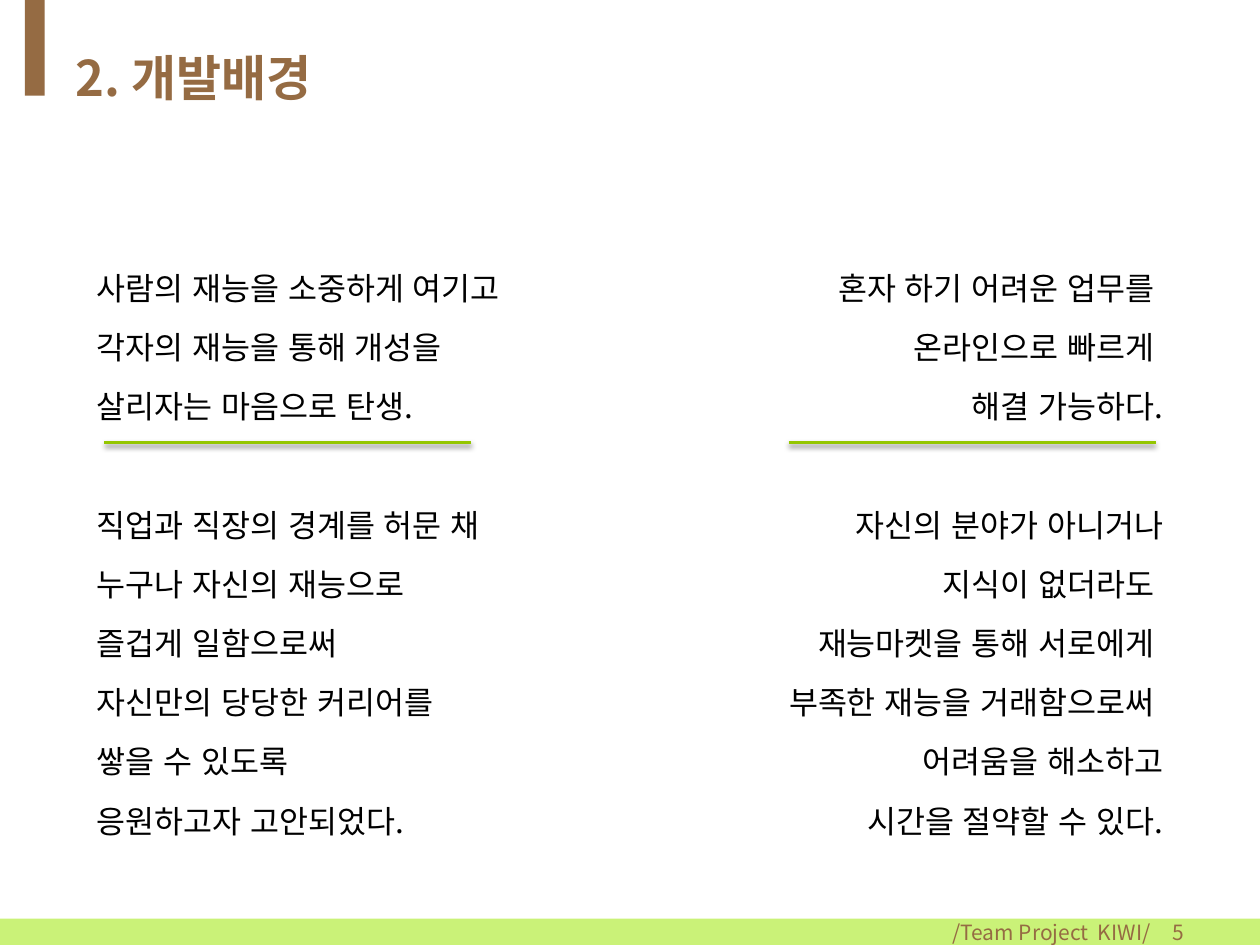
from dataclasses import dataclass

from lxml import etree
from pptx import Presentation
from pptx import util as u
from pptx.dml.color import RGBColor
from pptx.enum import lang, shapes, text
from pptx.oxml import ns

# Content: each column holds two groups of lines
TITLE = "2. 개발배경"
FOOTER = "/Team Project  KIWI/"
PAGE_NUMBER = "5"
REASONS = [
    ["사람의 재능을 소중하게 여기고", "각자의 재능을 통해 개성을", "살리자는 마음으로 탄생."],
    ["직업과 직장의 경계를 허문 채", "누구나 자신의 재능으로", "즐겁게 일함으로써",
     "자신만의 당당한 커리어를", "쌓을 수 있도록", "응원하고자 고안되었다."],
]
BENEFITS = [
    ["혼자 하기 어려운 업무를 ", "온라인으로 빠르게 ", "해결 가능하다."],
    ["자신의 분야가 아니거나", "지식이 없더라도 ", "재능마켓을 통해 서로에게 ",
     "부족한 재능을 거래함으로써 ", "어려움을 해소하고", "시간을 절약할 수 있다."],
]


@dataclass(frozen=True)
class Theme:
    font: str = "Noto Sans CJK KR"
    brown: str = "956B43"
    lime: str = "CAF278"
    green: str = "94C600"
    black: str = "000000"
    title: float = 28
    body: float = 18
    small: float = 12
    leading: float = 1.4
    before: float = 3.6
    group_gap: float = 37.5


theme = Theme()
LEFT, CENTER, RIGHT = text.PP_ALIGN.LEFT, text.PP_ALIGN.CENTER, text.PP_ALIGN.RIGHT

# Measures in centimetres
WIDTH, HEIGHT = 25.4, 19.05
BAR_HEIGHT = 0.53
BAR_TOP = HEIGHT - BAR_HEIGHT
MARGIN, COLUMN_WIDTH, COLUMN_TOP, COLUMN_HEIGHT = 1.7, 10.6, 4.52, 13.0
RULE_MARGIN, RULE_WIDTH, RULE_Y = 2.1, 7.4, 8.92


def add_band(page, left, top, width, height, color):
    band = page.shapes.add_shape(shapes.MSO_SHAPE.RECTANGLE,
                                 u.Cm(left), u.Cm(top), u.Cm(width), u.Cm(height))
    band.shadow.inherit = False
    band.fill.solid()
    band.fill.fore_color.rgb = RGBColor.from_string(color)
    band.line.fill.background()


def add_box(page, left, top, width, height):
    box = page.shapes.add_textbox(u.Cm(left), u.Cm(top), u.Cm(width), u.Cm(height))
    frame = box.text_frame
    frame.word_wrap = True
    frame.vertical_anchor = text.MSO_ANCHOR.MIDDLE
    frame.margin_top = frame.margin_bottom = 0
    return frame


def add_span(para, words, size, color, align, bold=False):
    para.alignment = align
    span = para.add_run()
    span.text = words
    span.font.size = u.Pt(size)
    span.font.bold = bold
    span.font.name = theme.font
    span.font.language_id = lang.MSO_LANGUAGE_ID.KOREAN
    span.font.color.rgb = RGBColor.from_string(color)
    east_asian = etree.SubElement(span.font._element, ns.qn("a:ea"))
    east_asian.set("typeface", theme.font)


def add_column(page, left, groups, align):
    frame = add_box(page, left, COLUMN_TOP, COLUMN_WIDTH, COLUMN_HEIGHT)
    for group_index, group in enumerate(groups):
        for line_index, words in enumerate(group):
            first = group_index == line_index == 0
            para = frame.paragraphs[0] if first else frame.add_paragraph()
            new_group = group_index > 0 and line_index == 0
            para.space_before = u.Pt(theme.group_gap if new_group else theme.before)
            para.line_spacing = theme.leading
            add_span(para, words, theme.body, theme.black, align)


def add_rule(page, left):
    rule = page.shapes.add_connector(shapes.MSO_CONNECTOR.STRAIGHT, u.Cm(left), u.Cm(RULE_Y),
                                     u.Cm(left + RULE_WIDTH), u.Cm(RULE_Y))
    rule.line.width = u.Pt(2)
    rule.line.color.rgb = RGBColor.from_string(theme.green)
    # Soft shadow straight below the rule
    effects = etree.SubElement(rule._element.spPr, ns.qn("a:effectLst"))
    shadow = etree.SubElement(effects, ns.qn("a:outerShdw"), blurRad=str(u.Pt(3.1)),
                              dist=str(u.Pt(1.6)), dir="5400000", rotWithShape="0")
    color = etree.SubElement(shadow, ns.qn("a:srgbClr"), val=theme.black)
    etree.SubElement(color, ns.qn("a:alpha"), val="38000")


def main():
    deck = Presentation()
    deck.slide_width, deck.slide_height = u.Cm(WIDTH), u.Cm(HEIGHT)
    page = deck.slides.add_slide(deck.slide_layouts[6])

    # Footer bar and title accent
    add_band(page, 0, BAR_TOP, WIDTH, BAR_HEIGHT, theme.lime)
    add_band(page, 0.5, 0, 0.4, 1.93, theme.brown)

    # Title
    title = add_box(page, 1.27, 0.78, 22.86, 1.55)
    add_span(title.paragraphs[0], TITLE, theme.title, theme.brown, LEFT, bold=True)

    # Footer text and page number
    for words, left, width, align in [(FOOTER, 18.9, 4.6, CENTER),
                                      (PAGE_NUMBER, 22.91, 1.22, RIGHT)]:
        frame = add_box(page, left, BAR_TOP, width, BAR_HEIGHT)
        add_span(frame.paragraphs[0], words, theme.small, theme.brown, align)

    # Two mirrored columns with a rule under each first group
    add_column(page, MARGIN, REASONS, LEFT)
    add_column(page, WIDTH - MARGIN - COLUMN_WIDTH, BENEFITS, RIGHT)
    for left in (RULE_MARGIN, WIDTH - RULE_MARGIN - RULE_WIDTH):
        add_rule(page, left)

    deck.save("out.pptx")


if __name__ == "__main__":
    main()
